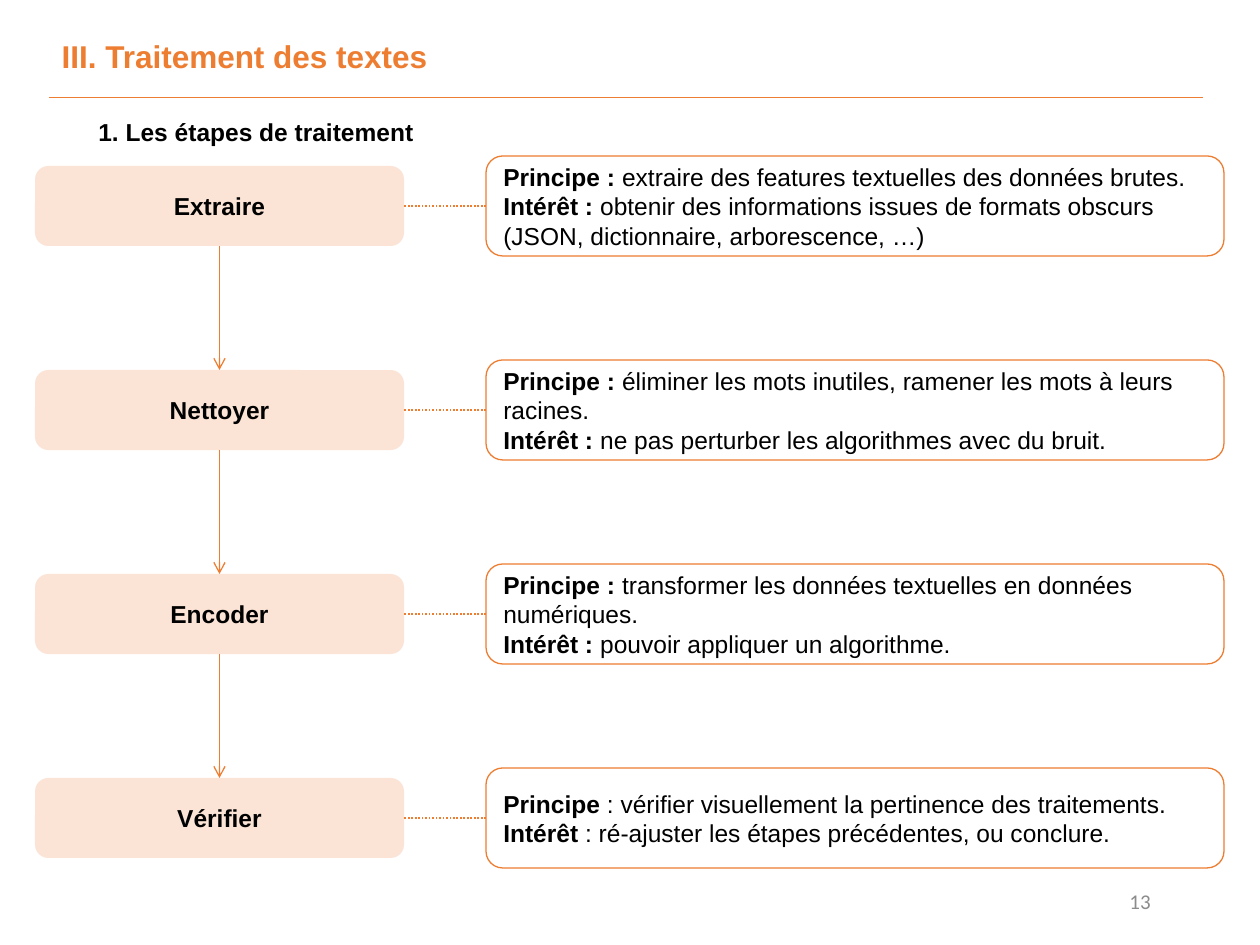
from itertools import pairwise

from lxml.etree import SubElement
from pptx import Presentation
from pptx.dml.color import RGBColor
from pptx.enum.dml import MSO_LINE
from pptx.enum.shapes import MSO_CONNECTOR, MSO_SHAPE
from pptx.enum.text import MSO_ANCHOR, PP_ALIGN
from pptx.oxml.ns import qn
from pptx.util import Emu, Inches, Pt

EMU_PER_PX = Inches(1) / 126
ORANGE = RGBColor(0xED, 0x7D, 0x31)
PEACH = RGBColor(0xF8, 0xCB, 0xAD)
BLACK = RGBColor(0, 0, 0)
GREY = RGBColor(0x8C, 0x8C, 0x8C)

BOTTOM, LEFT, RIGHT, TOP = 2, 1, 3, 0
ROW_TOP, ROW_PITCH, ROW_HEIGHT = 156, 204, 100
STEP_LEFT, STEP_WIDTH, STEP_HEIGHT = 35, 369, 80
DETAIL_LEFT, DETAIL_WIDTH = 486, 738

# Each step: name, then paragraphs made of alternating bold and regular runs
STEPS = [
    ("Extraire", [
        ["Principe : ", "extraire des features textuelles des données brutes. ",
         "Intérêt : ", "obtenir des informations issues de formats obscurs "
         "(JSON, dictionnaire, arborescence, …)"],
    ]),
    ("Nettoyer", [
        ["Principe : ", "éliminer les mots inutiles, ramener les mots à leurs racines."],
        ["Intérêt : ", "ne pas perturber les algorithmes avec du bruit."],
    ]),
    ("Encoder", [
        ["Principe : ", "transformer les données textuelles en données numériques."],
        ["Intérêt : ", "pouvoir appliquer un algorithme."],
    ]),
    ("Vérifier", [
        ["Principe", " : vérifier visuellement la pertinence des traitements."],
        ["Intérêt", " : ré-ajuster les étapes précédentes, ou conclure."],
    ]),
]


def px(*lengths):
    return [Emu(round(length * EMU_PER_PX)) for length in lengths]


def set_font(paragraph, size, color, bold=None, name="Arial"):
    font = paragraph.font
    font.name, font.size, font.bold = name, Pt(size), bold
    font.color.rgb = color


def add_label(slide, box, text, size, color, align=PP_ALIGN.LEFT, bold=None, name="Arial"):
    frame = slide.shapes.add_textbox(*px(*box)).text_frame
    frame.word_wrap = align == PP_ALIGN.RIGHT
    frame.vertical_anchor = MSO_ANCHOR.MIDDLE
    paragraph = frame.paragraphs[0]
    paragraph.text = text
    paragraph.alignment = align
    set_font(paragraph, size, color, bold, name)


def add_line(slide, width, ends=(0, 0, 0, 0), dash=None, arrow=False):
    connector = slide.shapes.add_connector(MSO_CONNECTOR.STRAIGHT, *px(*ends))
    connector.line.color.rgb = ORANGE
    connector.line.width = Pt(width)
    if dash:
        connector.line.dash_style = dash
    properties = connector._element.spPr
    if arrow:
        SubElement(properties.find(qn("a:ln")), qn("a:tailEnd"), type="arrow")
    SubElement(properties, qn("a:effectLst"))
    return connector


def add_rounded_box(slide, box):
    shape = slide.shapes.add_shape(MSO_SHAPE.ROUNDED_RECTANGLE, *px(*box))
    shape.shadow.inherit = False
    shape.text_frame.word_wrap = True
    shape.text_frame.vertical_anchor = MSO_ANCHOR.MIDDLE
    return shape


def add_step(slide, box, name):
    shape = add_rounded_box(slide, box)
    shape.fill.solid()
    shape.fill.fore_color.rgb = PEACH
    color = shape._element.spPr.find(qn("a:solidFill")).find(qn("a:srgbClr"))
    SubElement(color, qn("a:alpha"), val="50000")
    shape.line.fill.background()
    paragraph = shape.text_frame.paragraphs[0]
    paragraph.text = name
    paragraph.alignment = PP_ALIGN.CENTER
    set_font(paragraph, 14, BLACK, bold=True)
    return shape


def add_detail(slide, box, paragraphs):
    shape = add_rounded_box(slide, box)
    shape.fill.background()
    shape.line.color.rgb = ORANGE
    shape.line.width = Pt(0.75)
    frame = shape.text_frame
    for index, texts in enumerate(paragraphs):
        paragraph = frame.add_paragraph() if index else frame.paragraphs[0]
        paragraph.alignment = PP_ALIGN.LEFT
        set_font(paragraph, 14, BLACK)
        for position, text in enumerate(texts):
            run = paragraph.add_run()
            run.text = text
            run.font.bold = position % 2 == 0
    return shape


def add_row(slide, top, name, paragraphs):
    """Place a step and its detail, joined by a dotted line; return the step."""
    step_top = top + (ROW_HEIGHT - STEP_HEIGHT) // 2
    step = add_step(slide, (STEP_LEFT, step_top, STEP_WIDTH, STEP_HEIGHT), name)
    detail = add_detail(slide, (DETAIL_LEFT, top, DETAIL_WIDTH, ROW_HEIGHT), paragraphs)
    link = add_line(slide, 1, dash=MSO_LINE.ROUND_DOT)
    link.begin_connect(detail, LEFT)
    link.end_connect(step, RIGHT)
    return step


def add_flow(slide, top):
    steps = [add_row(slide, top + index * ROW_PITCH, name, paragraphs)
             for index, (name, paragraphs) in enumerate(STEPS)]
    for upper, lower in pairwise(steps):
        arrow = add_line(slide, 0.75, arrow=True)
        arrow.begin_connect(upper, BOTTOM)
        arrow.end_connect(lower, TOP)


def add_header(slide, left, top):
    title = slide.shapes.title
    title.left, title.top, title.width, title.height = px(left, top, 394, 50)
    title.text_frame.text = "III. Traitement des textes"
    title.text_frame.word_wrap = False
    title.text_frame.vertical_anchor = MSO_ANCHOR.MIDDLE
    paragraph = title.text_frame.paragraphs[0]
    paragraph.alignment = PP_ALIGN.LEFT
    set_font(paragraph, 18, ORANGE, bold=True)
    add_line(slide, 0.5, (left, top + 66, left + 1154, top + 66))
    add_label(slide, (left + 37, top + 79, 341, 43), "1. Les étapes de traitement",
              14, BLACK, bold=True)


def main():
    presentation = Presentation()
    presentation.slide_width, presentation.slide_height = Inches(10), Inches(7.5)
    slide = presentation.slides.add_slide(presentation.slide_layouts[5])
    add_header(slide, 49, 31)
    add_flow(slide, ROW_TOP)
    add_label(slide, (879, 876, 284, 50), "13", 12, GREY, PP_ALIGN.RIGHT, name="Calibri")
    presentation.save("out.pptx")


if __name__ == "__main__":
    main()
